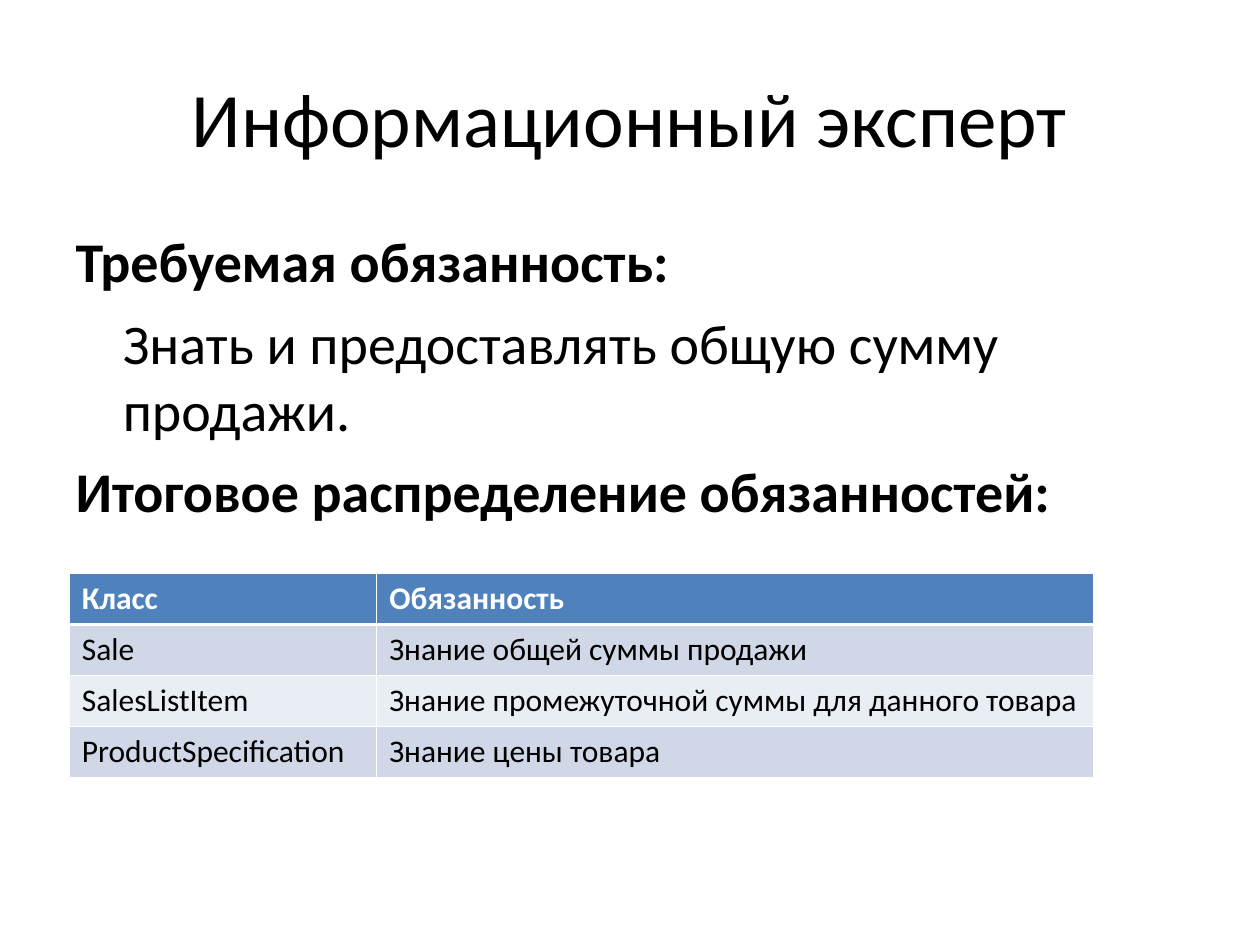
from lxml.etree import SubElement
from pptx import Presentation
from pptx.dml.color import RGBColor
from pptx.enum.text import MSO_ANCHOR, PP_ALIGN
from pptx.oxml.ns import qn
from pptx.util import Pt


def color(hex_value):
    return RGBColor.from_string(hex_value)


def style(para, size, hex_value, bold=False):
    font = para.font
    font.name, font.size, font.bold = "Calibri", Pt(size), bold
    font.color.rgb = color(hex_value)


deck = Presentation()
deck.slide_width, deck.slide_height = Pt(720), Pt(540)
page = deck.slides.add_slide(deck.slide_layouts[1])

# Title
title = page.shapes.title
title.left, title.top, title.width, title.height = Pt(36), Pt(21.6), Pt(648), Pt(90)
title.text_frame.text = "Информационный эксперт"
title.text_frame.vertical_anchor = MSO_ANCHOR.MIDDLE
heading = title.text_frame.paragraphs[0]
heading.alignment = PP_ALIGN.CENTER
style(heading, 44, "000000")

# Body: bold headings with indented text
body = page.placeholders[1]
body.left, body.top, body.width, body.height = Pt(36), Pt(126), Pt(648), Pt(356.4)
lines = [
    ("Требуемая обязанность:", True),
    ("Знать и предоставлять общую сумму продажи.", False),
    ("Итоговое распределение обязанностей:", True),
]
frame = body.text_frame
frame.text = "\n".join(text for text, _ in lines)
for index, (para, (_, is_heading)) in enumerate(zip(frame.paragraphs, lines)):
    props = para._p.get_or_add_pPr()
    props.set("marL", str(Pt(27)))
    props.set("indent", str(Pt(-27 if is_heading else 0)))
    SubElement(props, qn("a:buNone"))
    para.space_before = Pt(8 if index else 0)
    style(para, 32, "000000", is_heading)

# Table of classes and responsibilities
rows = [
    ("Класс", "Обязанность"),
    ("Sale", "Знание общей суммы продажи"),
    ("SalesListItem", "Знание промежуточной суммы для данного товара"),
    ("ProductSpecification", "Знание цены товара"),
]
table = page.shapes.add_table(
    len(rows), 2, Pt(39.6), Pt(327.6), Pt(585.4), Pt(116.8)).table
for column, width in zip(table.columns, (175.7, 409.7)):
    column.width = Pt(width)

for r, texts in enumerate(rows):
    table.rows[r].height = Pt(29.2)
    fill = "4F81BD" if r == 0 else "D0D8E8" if r % 2 else "E9EDF4"
    for c, text in enumerate(texts):
        cell = table.cell(r, c)
        cell.text = text
        style(cell.text_frame.paragraphs[0], 18,
              "000000" if r else "FFFFFF", r == 0)
        # White borders, thicker below the header; they precede the fill
        cell_props = cell._tc.get_or_add_tcPr()
        for side in ("lnL", "lnR", "lnT", "lnB"):
            thick = (r, side) in ((0, "lnB"), (1, "lnT"))
            border = SubElement(cell_props, qn(f"a:{side}"),
                                w=str(Pt(1.47 if thick else 0.45)))
            solid = SubElement(border, qn("a:solidFill"))
            SubElement(solid, qn("a:srgbClr"), val="FFFFFF")
        cell.fill.solid()
        cell.fill.fore_color.rgb = color(fill)

deck.save("out.pptx")
